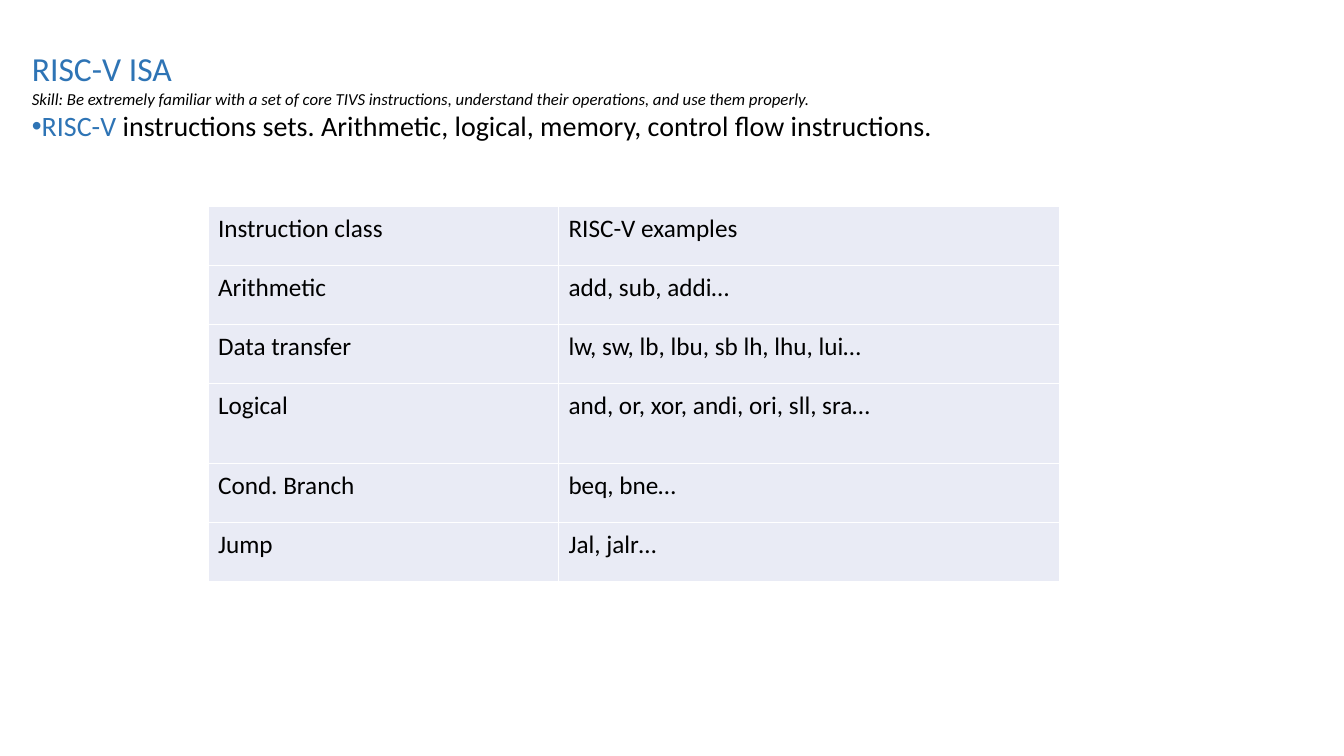
from lxml.etree import SubElement
from pptx import Presentation
from pptx.dml.color import RGBColor
from pptx.enum.text import MSO_ANCHOR as Anchor
from pptx.oxml.ns import qn
from pptx.util import Pt

FONT = "Calibri"
BLUE = "2E74B5"
BLACK = "000000"
WHITE = "FFFFFF"
PALE = "E9EBF5"

HEADING = [
    [("RISC-V ISA", 24, BLUE, False)],
    [("Skill: Be extremely familiar with a set of core TIVS instructions, "
      "understand their operations, and use them properly.", 12, BLACK, True)],
    [("RISC-V", 20, BLUE, False),
     (" instructions sets. Arithmetic, logical, memory, control flow "
      "instructions. ", 20, BLACK, False)],
]

INSTRUCTIONS = [
    ("Instruction class", "RISC-V examples"),
    ("Arithmetic", "add, sub, addi…"),
    ("Data transfer", "lw, sw, lb, lbu, sb lh, lhu, lui…"),
    ("Logical", "and, or, xor, andi, ori, sll, sra…"),
    ("Cond. Branch", "beq, bne…"),
    ("Jump", "Jal, jalr…"),
]
COLUMN_WIDTHS = (250.3, 357.7)
ROW_HEIGHT = 42.2
LOGICAL_HEIGHT = 57


def color(hex_string):
    return RGBColor.from_string(hex_string)


def add_run(paragraph, text, size, hex_color, italic=False):
    run = paragraph.add_run()
    run.text = text
    run.font.name = FONT
    run.font.size = Pt(size)
    run.font.italic = italic
    run.font.color.rgb = color(hex_color)


def add_bullet(paragraph):
    properties = paragraph._p.get_or_add_pPr()
    properties.set("marL", "0")
    properties.set("indent", "0")
    SubElement(properties, qn("a:buFont"), typeface="Arial")
    SubElement(properties, qn("a:buChar"), char="•")


def add_heading(slide, left, top, width, height):
    frame = slide.shapes.add_textbox(
        Pt(left), Pt(top), Pt(width), Pt(height)).text_frame
    frame.word_wrap = True
    frame.vertical_anchor = Anchor.MIDDLE
    frame.margin_left = frame.margin_right = 0
    frame.margin_top = frame.margin_bottom = Pt(12)
    for index, runs in enumerate(HEADING):
        paragraph = frame.add_paragraph() if index else frame.paragraphs[0]
        for run in runs:
            add_run(paragraph, *run)
    add_bullet(frame.paragraphs[-1])


def add_borders(cell, width, hex_color):
    properties = cell._tc.get_or_add_tcPr()
    for index, side in enumerate(("lnL", "lnR", "lnT", "lnB")):
        line = SubElement(properties, qn(f"a:{side}"), w=str(Pt(width)))
        fill = SubElement(line, qn("a:solidFill"))
        SubElement(fill, qn("a:srgbClr"), val=hex_color)
        properties.insert(index, line)


def fill_cell(cell, text):
    cell.fill.solid()
    cell.fill.fore_color.rgb = color(PALE)
    add_borders(cell, 1, WHITE)
    paragraph = cell.text_frame.paragraphs[0]
    paragraph.line_spacing = 1.07
    paragraph.space_after = Pt(8)
    add_run(paragraph, text, 18, BLACK)


def add_instruction_table(slide, left, top):
    heights = [LOGICAL_HEIGHT if name == "Logical" else ROW_HEIGHT
               for name, _ in INSTRUCTIONS]
    table = slide.shapes.add_table(
        len(heights), len(COLUMN_WIDTHS), Pt(left), Pt(top),
        Pt(sum(COLUMN_WIDTHS)), Pt(sum(heights))).table
    table.first_row = table.horz_banding = False
    for column, width in zip(table.columns, COLUMN_WIDTHS):
        column.width = Pt(width)
    for row, height, texts in zip(table.rows, heights, INSTRUCTIONS):
        row.height = Pt(height)
        for cell, text in zip(row.cells, texts):
            fill_cell(cell, text)


def main():
    presentation = Presentation()
    presentation.slide_width = Pt(960)
    presentation.slide_height = Pt(540)
    slide = presentation.slides.add_slide(presentation.slide_layouts[6])
    add_instruction_table(slide, 148.6, 147.6)
    add_heading(slide, 22.8, 22, 701.3, 92)
    presentation.save("out.pptx")


main()
